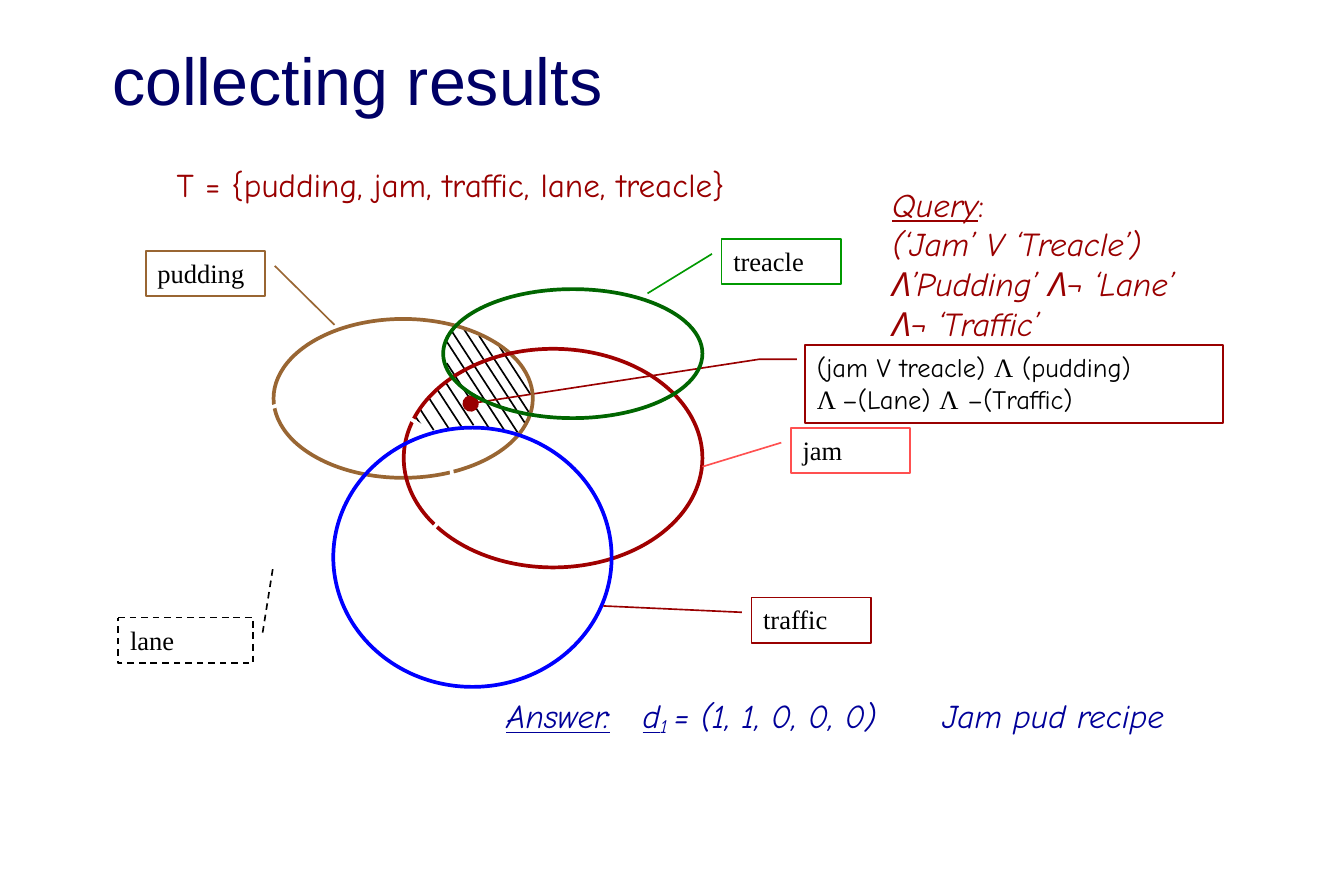
"""Build the Venn diagram slide about collecting Boolean query results."""
from dataclasses import dataclass, field
from typing import Any

from lxml.etree import SubElement
from pptx import Presentation
from pptx.dml.color import RGBColor
from pptx.enum.dml import MSO_LINE_DASH_STYLE as Dash
from pptx.enum.shapes import MSO_CONNECTOR as Connector, MSO_SHAPE as Shape
from pptx.enum.text import MSO_ANCHOR as Anchor, PP_ALIGN as Align
from pptx.oxml.ns import qn
from pptx.util import Inches, Pt


@dataclass(frozen=True)
class Theme:
    """Colours, fonts and sizes of the slide."""
    navy: str = "000066"
    maroon: str = "990000"
    answer: str = "000099"
    black: str = "000000"
    white: str = "FFFFFF"
    brown: str = "996633"
    red: str = "A00000"
    blue: str = "0000FF"
    green: str = "006600"
    leaf: str = "009900"
    coral: str = "FF5050"
    sans: str = "Arial"
    hand: str = "Comic Neue"
    serif: str = "Times New Roman"
    title: int = 40
    body: int = 20
    label: int = 16
    thin: float = 1
    outline: float = 2.25


THEME = Theme()
Box = tuple[float, float, float, float]


@dataclass(frozen=True)
class Span:
    """A stretch of text with its own formatting."""
    text: str
    format: dict[str, Any] = field(default_factory=dict)
    baseline: int = 0


@dataclass(frozen=True)
class TextStyle:
    """The base look of a text block."""
    font: str
    size: int
    color: str
    italic: bool = False


@dataclass(frozen=True)
class TextBlock:
    """A free text box."""
    box: Box
    style: TextStyle
    paras: list[list[Span]]
    indent: float = 0
    tabs: tuple[float, ...] = ()
    anchor: Any = Anchor.TOP


@dataclass(frozen=True)
class TermSet:
    """The ellipse of documents holding one term."""
    box: Box
    color: str


@dataclass(frozen=True)
class Callout:
    """A bordered label with a leader line."""
    box: Box
    color: str
    leader: tuple[float, ...]
    paras: list[list[Span]]
    font: str = THEME.serif
    kind: Any = Shape.LINE_CALLOUT_1
    dash: Any = None
    dot: bool = False


UNDERLINE = {"underline": True}
UPRIGHT = {"italic": False}
SERIF = {"name": THEME.serif}
MAROON_ITALIC = TextStyle(THEME.hand, THEME.body, THEME.maroon, True)

TEXTS = [
    TextBlock((0.84, 0.33, 9.56, 0.67), TextStyle(THEME.sans, THEME.title, THEME.navy),
              [[Span("collecting results")]], anchor=Anchor.MIDDLE),
    TextBlock((1.38, 1.33, 6.08, 0.43), TextStyle(THEME.hand, THEME.body, THEME.maroon),
              [[Span("T = {pudding, jam, traffic, lane, treacle}")]]),
    TextBlock((4.14, 5.77, 6.14, 0.43), TextStyle(THEME.hand, THEME.body, THEME.answer, True),
              [[Span("Answer:", UNDERLINE), Span("\t"), Span("d", UNDERLINE),
                Span("1 ", baseline=-15000), Span("= (1, 1, 0, 0, 0)\tJam pud recipe")]],
              tabs=(1.14, 3.65)),
    TextBlock((6.87, 1.49, 3.35, 1.93), MAROON_ITALIC,
              [[Span("Query", UNDERLINE), Span(":", UPRIGHT)],
               [Span("(‘Jam’ V ‘Treacle’) Λ’Pudding’ Λ¬ ‘Lane’")],
               [Span("Λ¬ ‘Traffic’")]], indent=0.5),
]

HATCH_SLOPE = 0.65
HATCHES = [
    (3.48, 3.49, 3.57), (3.52, 3.43, 3.6), (3.59, 3.33, 3.59), (3.66, 3.26, 3.57),
    (3.73, 3.2, 3.56), (3.74, 3.04, 3.58), (3.74, 2.86, 3.61), (3.78, 2.77, 3.62),
    (3.88, 2.75, 3.54), (4.01, 2.81, 3.45), (4.18, 2.9, 3.3),
]

TERM_SETS = [
    TermSet((2.29, 2.67, 2.17, 1.33), THEME.brown),
    TermSet((3.38, 2.92, 2.5, 1.83), THEME.red),
    TermSet((1.71, 3.33, 2.08, 1.42), THEME.white),
    TermSet((2.79, 3.58, 2.33, 2.17), THEME.blue),
    TermSet((3.71, 2.42, 2.17, 1.08), THEME.green),
]

RESULT = Callout(
    (6.74, 2.89, 3.5, 0.65), THEME.maroon, (0.18, -0.02, 0.18, -0.11, 0.75, -0.8),
    [[Span("(jam V treacle) "), Span("Λ", SERIF), Span(" (pudding)")],
     [Span("Λ ", SERIF), Span("–(Lane) "), Span("Λ", SERIF), Span(" –(Traffic)")]],
    THEME.hand, Shape.LINE_CALLOUT_2, dot=True)

LABELS = [
    Callout((1.22, 2.1, 1, 0.38), THEME.brown, (0.33, 1.08, 1.63, 1.58), [[Span("pudding")]]),
    Callout((6.62, 3.58, 1, 0.38), THEME.coral, (0.33, -0.08, 0.86, -0.74), [[Span("jam")]]),
    Callout((6.29, 5, 1, 0.38), THEME.maroon, (0.33, -0.08, 0.19, -1.24), [[Span("traffic")]]),
    Callout((0.99, 5.17, 1.13, 0.38), THEME.black, (0.33, 1.07, -1.17, 1.15),
            [[Span("lane")]], dash=Dash.DASH),
    Callout((6.04, 2, 1, 0.38), THEME.leaf, (0.33, -0.08, 1.2, -0.62), [[Span("treacle")]]),
]


def apply(target: Any, values: dict[str, Any]) -> None:
    """Set every attribute named in a dict of format values."""
    for name, value in values.items():
        setattr(target, name, value)


def write(frame: Any, paras: list[list[Span]], style: TextStyle, indent: float = 0,
          tabs: tuple[float, ...] = (), anchor: Any = Anchor.TOP) -> None:
    """Fill a text frame with formatted paragraphs."""
    apply(frame, {"word_wrap": True, "vertical_anchor": anchor})
    base = {"name": style.font, "size": Pt(style.size), "italic": style.italic}
    for index, spans in enumerate(paras):
        para = frame.add_paragraph() if index else frame.paragraphs[0]
        para.alignment = Align.LEFT
        properties = para._p.get_or_add_pPr()
        if indent:
            properties.set("marL", str(Inches(indent)))
        if tabs:
            stops = SubElement(properties, qn("a:tabLst"))
            for tab in tabs:
                SubElement(stops, qn("a:tab"), pos=str(Inches(tab)), algn="l")
        for span in spans:
            run = para.add_run()
            run.text = span.text
            apply(run.font, base | span.format)
            run.font.color.rgb = RGBColor.from_string(style.color)
            if span.baseline:
                run._r.get_or_add_rPr().set("baseline", str(span.baseline))


def add_text(page: Any, block: TextBlock) -> None:
    """Add a free text box."""
    box = page.shapes.add_textbox(*map(Inches, block.box))
    write(box.text_frame, block.paras, block.style, block.indent, block.tabs, block.anchor)


def add_hatch(page: Any, left: float, top: float, bottom: float) -> None:
    """Add one slanted hatch line of the result area."""
    right = left + HATCH_SLOPE * (bottom - top)
    hatch = page.shapes.add_connector(Connector.STRAIGHT, *map(Inches, (left, top, right, bottom)))
    hatch.line.color.rgb = RGBColor.from_string(THEME.black)
    hatch.line.width = Pt(THEME.thin)
    SubElement(hatch._element.spPr, qn("a:effectLst"))


def add_outlined(page: Any, kind: Any, box: Box, color: str, width: float) -> Any:
    """Add a preset shape with a coloured outline and no shadow."""
    shape = page.shapes.add_shape(kind, *map(Inches, box))
    shape.shadow.inherit = False
    shape.fill.background()
    shape.line.color.rgb = RGBColor.from_string(color)
    shape.line.width = Pt(width)
    return shape


def add_callout(page: Any, callout: Callout) -> None:
    """Add a bordered label with its leader line."""
    shape = add_outlined(page, callout.kind, callout.box, callout.color, THEME.thin)
    shape.fill.solid()
    shape.fill.fore_color.rgb = RGBColor.from_string(THEME.white)
    for index, value in enumerate(callout.leader):
        shape.adjustments[index] = value
    if callout.dash:
        shape.line.dash_style = callout.dash
    if callout.dot:
        SubElement(shape.line._get_or_add_ln(), qn("a:tailEnd"), type="oval", w="lg", len="lg")
    write(shape.text_frame, callout.paras, TextStyle(callout.font, THEME.label, THEME.black))


def main() -> None:
    """Build and save the deck."""
    deck = Presentation()
    apply(deck, {"slide_width": Inches(11.25), "slide_height": Inches(7.5)})
    page = deck.slides.add_slide(deck.slide_layouts[6])
    for block in TEXTS:
        add_text(page, block)
    for hatch in HATCHES:
        add_hatch(page, *hatch)
    add_callout(page, RESULT)
    for term in TERM_SETS:
        add_outlined(page, Shape.OVAL, term.box, term.color, THEME.outline)
    for label in LABELS:
        add_callout(page, label)
    deck.save("out.pptx")


if __name__ == "__main__":
    main()
